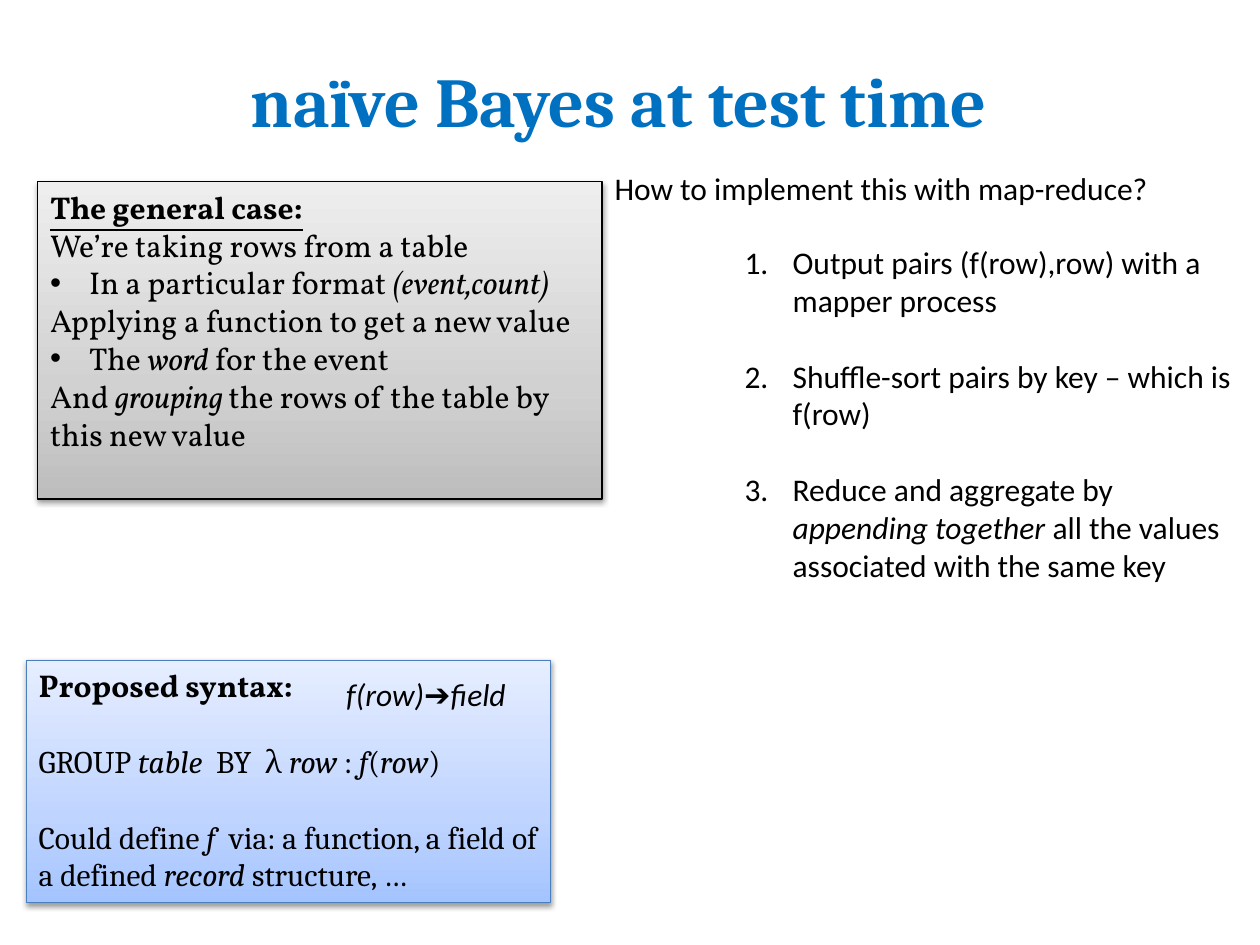
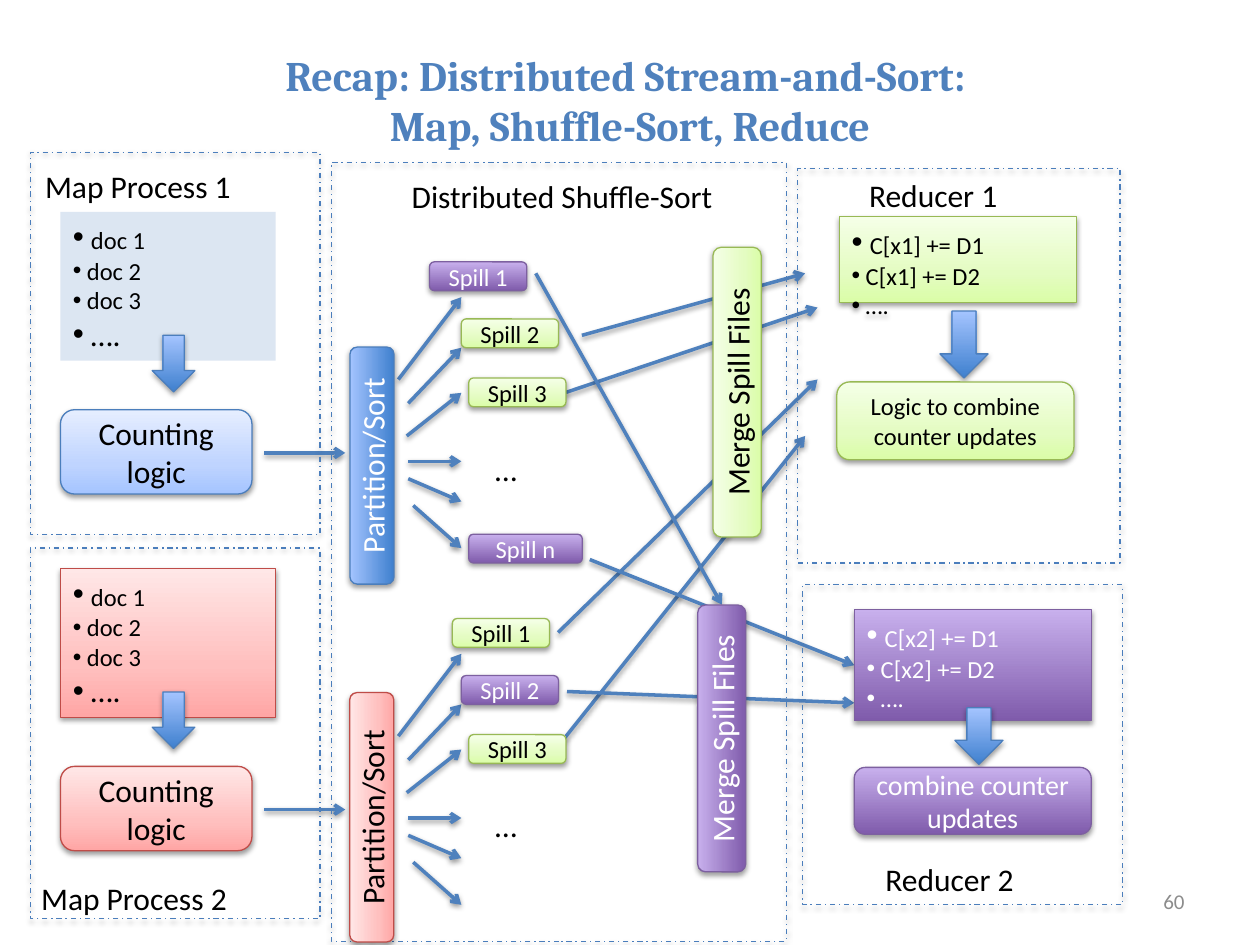
"""Build two slides on grouping rows with map-reduce and distributed stream-and-sort."""
import lxml.etree
import pptx
import pptx.dml.color
import pptx.enum.dml
import pptx.enum.shapes
import pptx.enum.text
import pptx.oxml
import pptx.oxml.ns
import pptx.util

Cm, Pt = pptx.util.Cm, pptx.util.Pt
qn = pptx.oxml.ns.qn
SHAPES = pptx.enum.shapes.MSO_SHAPE
ALIGN = pptx.enum.text.PP_ALIGN
ANCHOR = pptx.enum.text.MSO_ANCHOR

COLORS = {
    "black": "000000", "white": "FFFFFF", "number": "8C8C8C",
    "title": "0070C0", "recap": "4F81BD", "arrow": "4F81BD",
    "blue line": "4B7EBC", "red line": "BF4C48",
    "green line": "98B955", "purple line": "7D60A0",
    "gray low": "BDBDBD", "gray mid": "D1D1D1", "gray high": "EEEEEE",
    "blue low": "A4C4FF", "blue mid": "BFD4FF", "blue high": "E6EEFF",
    "red low": "FFA6A5", "red mid": "FFC0BF", "red high": "FFE7E7",
    "green low": "DAFDA7", "green mid": "E4FCC2", "green high": "F5FFE7",
    "strong low": "3F80CE", "strong high": "A4C4FF",
    "purple low": "7F5BAB", "purple high": "C8B0ED", "pale": "DCE6F2",
}


def soft(name, line):
    """Describe a light three-stop fill with black text."""
    stops = [(0, f"{name} low"), (35, f"{name} mid"), (100, f"{name} high")]
    return {"stops": stops, "line": line, "text": "black"}


def strong(name, line):
    """Describe a saturated two-stop fill with white text."""
    return {"stops": [(0, f"{name} low"), (100, f"{name} high")], "line": line, "text": "white"}


STYLES = {
    "gray": soft("gray", "black"),
    "blue": soft("blue", "blue line"),
    "red": soft("red", "red line"),
    "green": soft("green", "green line"),
    "strong": strong("strong", "blue line"),
    "purple": strong("purple", "purple line"),
    "pale": {"solid": "pale", "text": "black"},
    "frame": {"line": "blue line", "dashed": True, "text": "black"},
}

ITALIC = {"italic": True}
CAMBRIA = {"name": "Cambria"}
DOT = {"bullet": "•", "indent": 0.79}
STEP = {"bullet": "1.", "indent": 0.97}
GAP = {"before": 21.6}

GENERAL_CASE = [
    {"spans": [("The general case:", {"bold": True, "underline": True})]},
    {"spans": ["We’re taking rows from a table"]},
    {"spans": ["In a particular format ", ("(event,count)", ITALIC)], **DOT},
    {"spans": ["Applying a function to get a new value"]},
    {"spans": ["The ", ("word", ITALIC), " for the event"], **DOT},
    {"spans": ["And ", ("grouping ", ITALIC), "the rows of the table by this new value"]},
]
SYNTAX = [
    {"spans": [("Proposed syntax:", {"bold": True, "name": "Vollkorn"})]},
    {"spans": ["GROUP ", ("table", ITALIC), "  BY  λ ", ("row", ITALIC), " : ",
               ("f", ITALIC), "(", ("row", ITALIC), ")"], **GAP},
    {"spans": ["Could define ", ("f", ITALIC), "  via: a function, a field of a defined ",
               ("record", ITALIC), " structure, …"], **GAP},
]
STEPS = [
    {"spans": ["Output pairs (f(row),row) with a mapper process"], **STEP},
    {"spans": ["Shuffle-sort pairs by key – which is f(row)"], **STEP, **GAP},
    {"spans": ["Reduce and aggregate by ", ("appending together ", ITALIC),
               "all the values associated with the same key"], **STEP, **GAP},
]

FRAMES = [
    (0.61, 3.07, 5.84, 7.7), (0.61, 11.05, 5.84, 7.47), (6.68, 3.28, 9.17, 15.7),
    (16.08, 3.4, 6.5, 7.95), (16.18, 11.79, 6.45, 6.45),
]
CAPTIONS = [
    ("Map Process 1", (0.66, 3.25, 6.38, 1.02)),
    ("Map Process 2", (0.58, 17.6, 6.38, 1.02)),
    ("Distributed Shuffle-Sort", (8.05, 3.45, 7.32, 1.02)),
    ("Reducer 1", (17.27, 3.43, 3.35, 1.02)),
    ("Reducer 2", (17.6, 17.22, 3.35, 1.02)),
]
PROCESS_STEP = 7.19
SPILL_SIZE = (1.96, 0.58)
PROCESSES = [
    {"docs": "pale", "logic": "blue", "partition": "strong",
     "partition box": (5.11, 8.94, 4.78, 0.89),
     "spills": [("Spill 1", 8.66, 5.28, "purple"), ("Spill 2", 9.3, 6.43, "green"),
                ("Spill 3", 9.45, 7.62, "green")]},
    {"docs": "red", "logic": "red", "partition": "red",
     "partition box": (4.98, 16.03, 5.03, 0.89),
     "spills": [("Spill 1", 9.12, 5.28, "green"), ("Spill 2", 9.3, 6.43, "purple"),
                ("Spill 3", 9.45, 7.62, "green")]},
]
PROCESS_ARROWS = [
    (5.33, 9.13, 6.96, 9.13),
    (8.03, 7.65, 9.3, 5.99), (8.23, 8.13, 9.3, 7.01), (8.2, 8.79, 9.3, 7.92),
    (8.23, 9.3, 9.3, 9.3), (8.23, 9.65, 9.3, 10.11), (8.33, 10.19, 9.3, 11.05),
]
REDUCERS = [
    {"style": "green", "key": "x1", "updates": (16.92, 4.37, 4.78, 1.73),
     "down": (18.95, 6.27, 0.97, 1.35), "logic": "Logic to combine counter updates",
     "logic box": (16.87, 7.7, 4.78, 1.57), "size": 14, "merge": (11.94, 7.42, 5.84, 0.97)},
    {"style": "purple", "key": "x2", "updates": (17.22, 12.29, 4.78, 2.24),
     "down": (19.25, 14.27, 0.97, 1.14), "logic": "combine counter updates",
     "logic box": (17.22, 15.47, 4.78, 1.35), "size": 16, "merge": (11.86, 14.4, 5.38, 0.97)},
]
SPILL_ARROWS = [
    ((11.89, 11.28, 17.22, 13.41), None, ("updates x2", 1)),
    ((11.43, 13.94, 17.22, 14.17), None, None),
    ((10.8, 5.51, 14.55, 12.19), None, ("merge x2", 3)),
    ((11.73, 6.76, 16.23, 5.51), None, None),
    ((11.41, 7.91, 16.48, 6.2), ("Spill 3", 3), None),
    ((11.25, 12.75, 16.48, 7.65), None, None),
    ((11.38, 14.88, 16.23, 8.79), None, None),
]


def rgb(name):
    """Return a palette colour."""
    return pptx.dml.color.RGBColor.from_string(COLORS[name])


def format_font(font, look):
    """Set font attributes from a dict of format values."""
    for key, value in look.items():
        if key == "color":
            font.color.rgb = rgb(value)
        else:
            setattr(font, key, Pt(value) if key == "size" else value)


def add_bullet(para, mark, indent):
    """Give a paragraph a bullet or number with a hanging indent."""
    props = para._p.get_or_add_pPr()
    props.set("marL", str(Cm(indent)))
    props.set("indent", str(-Cm(indent)))
    if mark == "1.":
        lxml.etree.SubElement(props, qn("a:buAutoNum"), type="arabicPeriod")
    else:
        lxml.etree.SubElement(props, qn("a:buFont"), typeface="Arial")
        lxml.etree.SubElement(props, qn("a:buChar"), char=mark)


def write(shape, paras, align=ALIGN.LEFT, anchor=ANCHOR.TOP, **look):
    """Fill a shape with paragraphs made of plain or formatted spans."""
    base = {"name": "Calibri", "size": 18, "color": "black", **look}
    frame = shape.text_frame
    frame.word_wrap = True
    frame.vertical_anchor = anchor
    for index, item in enumerate(paras):
        para = frame.add_paragraph() if index else frame.paragraphs[0]
        if "bullet" in item:
            add_bullet(para, item["bullet"], item["indent"])
        para.alignment = align
        if "before" in item:
            para.space_before = Pt(item["before"])
        for part in item["spans"]:
            text, changes = (part, {}) if isinstance(part, str) else part
            span = para.add_run()
            span.text = text
            format_font(span.font, {**base, **changes})


def cast_shadow(shape):
    """Add a soft shadow below a shape or connector."""
    effects = lxml.etree.SubElement(shape._element.spPr, qn("a:effectLst"))
    outer = lxml.etree.SubElement(effects, qn("a:outerShdw"), blurRad=str(Pt(3.1)),
                                  dist=str(Pt(1.6)), dir="5400000", rotWithShape="0")
    color = lxml.etree.SubElement(outer, qn("a:srgbClr"), val=COLORS["black"])
    lxml.etree.SubElement(color, qn("a:alpha"), val="38000")


def fill_gradient(shape, stops):
    """Fill a shape with gradient stops running from bottom to top."""
    shape.fill.gradient()
    shape.fill.gradient_angle = 90
    stop_list = shape._element.spPr.find(qn("a:gradFill")).find(qn("a:gsLst"))
    for old in list(stop_list):
        stop_list.remove(old)
    for position, name in stops:
        stop = lxml.etree.SubElement(stop_list, qn("a:gs"), pos=str(position * 1000))
        lxml.etree.SubElement(stop, qn("a:srgbClr"), val=COLORS[name])


def add_block(page, kind, box, style, paras=(), **look):
    """Draw a styled preset shape with optional text."""
    shape = page.shapes.add_shape(kind, *map(Cm, box))
    design = STYLES[style]
    if "stops" in design:
        fill_gradient(shape, design["stops"])
    elif "solid" in design:
        shape.fill.solid()
        shape.fill.fore_color.rgb = rgb(design["solid"])
    else:
        shape.fill.background()
    if "line" in design:
        shape.line.color.rgb = rgb(design["line"])
        shape.line.width = Pt(0.75)
        if design.get("dashed"):
            shape.line.dash_style = pptx.enum.dml.MSO_LINE.DASH_DOT
        cast_shadow(shape)
    else:
        shape.line.fill.background()
        shape.shadow.inherit = False
    write(shape, paras, color=design["text"], **look)
    return shape


def add_label(page, box, paras, **look):
    """Place a plain text box."""
    write(page.shapes.add_textbox(*map(Cm, box)), paras, **look)


def add_pill(page, box, style, text, rotation=0, size=18):
    """Draw a rounded box with centred text."""
    shape = add_block(page, SHAPES.ROUNDED_RECTANGLE, box, style, [{"spans": [text]}],
                      align=ALIGN.CENTER, anchor=ANCHOR.MIDDLE, size=size)
    shape.rotation = rotation
    return shape


def add_list(page, box, style, lines, last_size=14):
    """Draw a box of small bulleted lines opened by a larger bullet."""
    sizes = [14] * (len(lines) - 1) + [last_size]
    paras = [{"spans": [(f" {line}", {"size": size})], "bullet": "•", "indent": 0}
             for line, size in zip(lines, sizes)]
    paras[0]["spans"] = [" ", (lines[0], {"size": 14})]
    return add_block(page, SHAPES.RECTANGLE, box, style, paras)


def add_arrow(page, ends, begin=None, end=None):
    """Draw an arrow behind the blocks, joined to a block where given."""
    points = [Cm(value) for value in ends]
    link = page.shapes.add_connector(pptx.enum.shapes.MSO_CONNECTOR.STRAIGHT, *points)
    if begin:
        link.begin_connect(*begin)
    if end:
        link.end_connect(*end)
    for key, value in zip(("begin_x", "begin_y", "end_x", "end_y"), points):
        setattr(link, key, value)
    link.line.color.rgb = rgb("arrow")
    link.line.width = Pt(2)
    lxml.etree.SubElement(link.line._get_or_add_ln(), qn("a:tailEnd"), type="arrow")
    cast_shadow(link)
    link._element.getparent().insert(2, link._element)


def add_page(deck, lines, left, width, size, color):
    """Add a title-only slide with a formatted title."""
    page = deck.slides.add_slide(deck.slide_layouts[5])
    title = page.shapes.title
    place = {"left": left, "top": 0.76, "width": width, "height": 2.51}
    for key, value in place.items():
        setattr(title, key, Cm(value))
    title.text_frame.text = "\v".join(lines)
    title.text_frame.vertical_anchor = ANCHOR.MIDDLE
    para = title.text_frame.paragraphs[0]
    para.alignment = ALIGN.CENTER
    for span in para.runs:
        format_font(span.font, {**CAMBRIA, "size": size, "bold": True, "color": color})
    return page


def build_syntax_page(deck):
    """Build the slide on grouping rows at test time."""
    page = add_page(deck, ["naïve Bayes at test time"], 0.81, 23.32, 40, "title")
    add_block(page, SHAPES.RECTANGLE, (0.76, 3.66, 11.38, 6.4), "gray", GENERAL_CASE, name="Vollkorn")
    add_block(page, SHAPES.RECTANGLE, (0.53, 13.31, 10.57, 4.88), "blue", SYNTAX, **CAMBRIA)
    add_label(page, (6.73, 13.49, 4.09, 1.02), [{"spans": ["f(row)➔field"]}], italic=True)
    add_label(page, (12.14, 3.28, 13, 1.02), [{"spans": ["How to implement this with map-reduce?"]}])
    add_label(page, (14.76, 4.78, 10.39, 7.95), STEPS)


def build_recap_page(deck):
    """Build the stream-and-sort diagram."""
    page = add_page(deck, ["Recap: Distributed Stream-and-Sort: ", "Map, Shuffle-Sort, Reduce"],
                    1.27, 22.86, 24, "recap")
    joints = {}
    for box in FRAMES:
        add_block(page, SHAPES.RECTANGLE, box, "frame")
    for text, box in CAPTIONS:
        add_label(page, box, [{"spans": [text]}])
    for index, process in enumerate(PROCESSES):
        drop = index * PROCESS_STEP
        add_list(page, (1.22, 4.27 + drop, 4.34, 3), process["docs"],
                 ["doc 1", "doc 2", "doc 3", "…."], last_size=18)
        add_block(page, SHAPES.DOWN_ARROW, (3.07, 6.76 + drop, 0.86, 1.14), "strong")
        add_pill(page, (1.22, 8.26 + drop, 3.86, 1.7), process["logic"], "Counting logic")
        add_pill(page, process["partition box"], process["partition"], "Partition/Sort", 270)
        for text, left, top, style in process["spills"]:
            spill = add_pill(page, (left, top + drop, *SPILL_SIZE), style, text, size=14)
            joints.setdefault(text, spill)
        add_label(page, (9.73, 8.94 + drop, 1.07, 0.69), [{"spans": ["…"]}])
        for x1, y1, x2, y2 in PROCESS_ARROWS:
            add_arrow(page, (x1, y1 + drop, x2, y2 + drop))
    add_pill(page, (9.45, 10.77, 2.29, 0.58), "purple", "Spill n", size=14)
    for reducer in REDUCERS:
        key, style = reducer["key"], reducer["style"]
        lines = [f"C[{key}] += D1", f"C[{key}] += D2", "…."]
        joints[f"updates {key}"] = add_list(page, reducer["updates"], style, lines)
        add_block(page, SHAPES.DOWN_ARROW, reducer["down"], "strong")
        add_pill(page, reducer["logic box"], style, reducer["logic"], size=reducer["size"])
        joints[f"merge {key}"] = add_pill(page, reducer["merge"], style, "Merge Spill Files", 270)
    for ends, *sides in SPILL_ARROWS:
        add_arrow(page, ends, *[side and (joints[side[0]], side[1]) for side in sides])
    add_label(page, (18.21, 17.65, 5.92, 1.02), [{"spans": ["60"]}], align=ALIGN.RIGHT,
              anchor=ANCHOR.MIDDLE, size=12, color="number")


def main():
    """Build and save the deck."""
    deck = pptx.Presentation()
    deck.slide_width, deck.slide_height = Cm(25.4), Cm(19.05)
    build_syntax_page(deck)
    build_recap_page(deck)
    deck.save("out.pptx")


if __name__ == "__main__":
    main()
